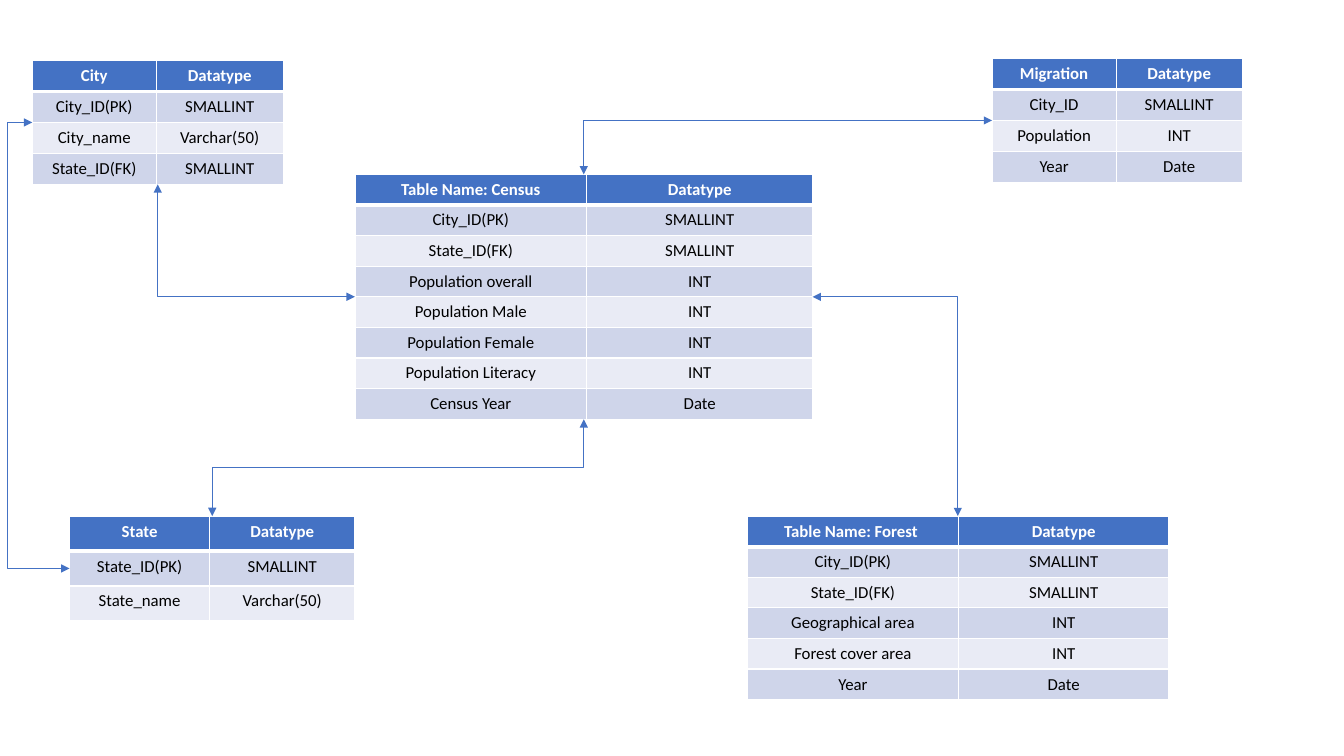
"""Build a slide with the entity diagram of a census database."""
from dataclasses import dataclass

from pptx import Presentation
from pptx.dml.color import RGBColor as RGB
from pptx.enum.shapes import MSO_CONNECTOR as LINK
from pptx.enum.text import PP_ALIGN as ALIGN
from pptx.oxml.ns import qn
from pptx.oxml.xmlchemy import OxmlElement as Node
from pptx.util import Inches, Pt

TABLES = {
    "Census": ((3.52, 1.73), (2.3, 2.24), 2.43, [
        ("Table Name: Census", "Datatype"),
        ("City_ID(PK)", "SMALLINT"),
        ("State_ID(FK)", "SMALLINT"),
        ("Population overall", "INT"),
        ("Population Male", "INT"),
        ("Population Female", "INT"),
        ("Population Literacy", "INT"),
        ("Census Year", "Date"),
    ]),
    "City": ((0.32, 0.6), (1.23, 1.26), 1.23, [
        ("City", "Datatype"),
        ("City_ID(PK)", "SMALLINT"),
        ("City_name", "Varchar(50)"),
        ("State_ID(FK)", "SMALLINT"),
    ]),
    "State": ((0.69, 5.12), (1.39, 1.44), 1.04, [
        ("State", "Datatype"),
        ("State_ID(PK)", "SMALLINT"),
        ("State_name", "Varchar(50)"),
    ]),
    "Forest": ((7.41, 5.12), (2.1, 2.08), 1.82, [
        ("Table Name: Forest ", "Datatype"),
        ("City_ID(PK)", "SMALLINT"),
        ("State_ID(FK)", "SMALLINT"),
        ("Geographical area", "INT"),
        ("Forest cover area", "INT"),
        ("Year", "Date"),
    ]),
    "Migration": ((9.84, 0.58), (1.23, 1.25), 1.23, [
        ("Migration", "Datatype"),
        ("City_ID", "SMALLINT"),
        ("Population", "INT"),
        ("Year", "Date"),
    ]),
}
TOP, LEFT, BOTTOM, RIGHT = range(4)
LINKS = [
    ("Census", LEFT, "City", BOTTOM, "corner"),
    ("Census", BOTTOM, "State", TOP, "step"),
    ("Census", RIGHT, "Forest", TOP, "corner"),
    ("City", LEFT, "State", LEFT, "loop"),
    ("Migration", LEFT, "Census", TOP, "corner"),
]
LOOP = Inches(0.25)


@dataclass(frozen=True)
class Theme:
    font: str = "Calibri"
    size: int = 12
    head: str = "4472C4"
    bands: tuple = ("E9EBF5", "CFD5EA")
    white: str = "FFFFFF"
    black: str = "000000"
    thin: float = 1
    thick: float = 3
    wire: float = 0.5


LOOK = Theme()


def add_edge(cell, spot, side, width):
    edge = Node(f"a:ln{side}")
    edge.set("w", str(Pt(width)))
    fill, color = Node("a:solidFill"), Node("a:srgbClr")
    color.set("val", LOOK.white)
    fill.append(color)
    edge.append(fill)
    cell._tc.get_or_add_tcPr().insert(spot, edge)


def fill_cell(cell, text, row):
    first = row == 0
    cell.fill.solid()
    cell.fill.fore_color.rgb = RGB.from_string(LOOK.head if first else LOOK.bands[row % 2])
    para = cell.text_frame.paragraphs[0]
    para.alignment = ALIGN.CENTER
    run = para.add_run()
    run.text = text
    font = run.font
    font.name, font.size, font.bold = LOOK.font, Pt(LOOK.size), first
    font.color.rgb = RGB.from_string(LOOK.white if first else LOOK.black)
    for spot, side in enumerate("LRTB"):
        thick = (row, side) in ((0, "B"), (1, "T"))
        add_edge(cell, spot, side, LOOK.thick if thick else LOOK.thin)


def add_grid(shapes, place, cols, height, rows):
    left, top = map(Inches, place)
    frame = shapes.add_table(len(rows), len(cols), left, top, Inches(sum(cols)), Inches(height))
    grid = frame.table
    for col, width in zip(grid.columns, cols):
        col.width = Inches(width)
    for row, texts in enumerate(rows):
        for col, text in enumerate(texts):
            fill_cell(grid.cell(row, col), text, row)
    return frame


def turn(wire):
    wide, high = wire.width, wire.height
    shift = (wide - high) // 2
    wire.left, wire.top = wire.left + shift, wire.top - shift
    wire.width, wire.height = high, wide
    form = wire._element.spPr.find(qn("a:xfrm"))
    form.attrib.pop("flipH", None)
    form.set("rot", str(90 * 60000))


def add_link(shapes, start, out, end, into, kind):
    wire = shapes.add_connector(LINK.ELBOW, start.left, start.top, end.left, end.top)
    wire.begin_connect(start, out)
    wire.end_connect(end, into)
    wire.line.color.rgb = RGB.from_string(LOOK.head)
    wire.line.width = Pt(LOOK.wire)
    props = wire._element.spPr
    for tag in ("a:headEnd", "a:tailEnd"):
        tip = Node(tag)
        tip.set("type", "triangle")
        props.find(qn("a:ln")).append(tip)
    props.append(Node("a:effectLst"))
    geom = props.find(qn("a:prstGeom"))
    if kind == "corner":
        geom.set("prst", "bentConnector2")
    elif kind == "step":
        turn(wire)
    else:
        guide = Node("a:gd")
        guide.set("name", "adj1")
        guide.set("fmla", f"val {-round(100000 * LOOP / wire.width)}")
        geom.find(qn("a:avLst")).append(guide)


def main():
    deck = Presentation()
    deck.slide_width, deck.slide_height = Inches(13.33), Inches(7.5)
    shapes = deck.slides.add_slide(deck.slide_layouts[6]).shapes
    grids = {name: add_grid(shapes, *data) for name, data in TABLES.items()}
    for start, out, end, into, kind in LINKS:
        add_link(shapes, grids[start], out, grids[end], into, kind)
    deck.save("out.pptx")


main()
